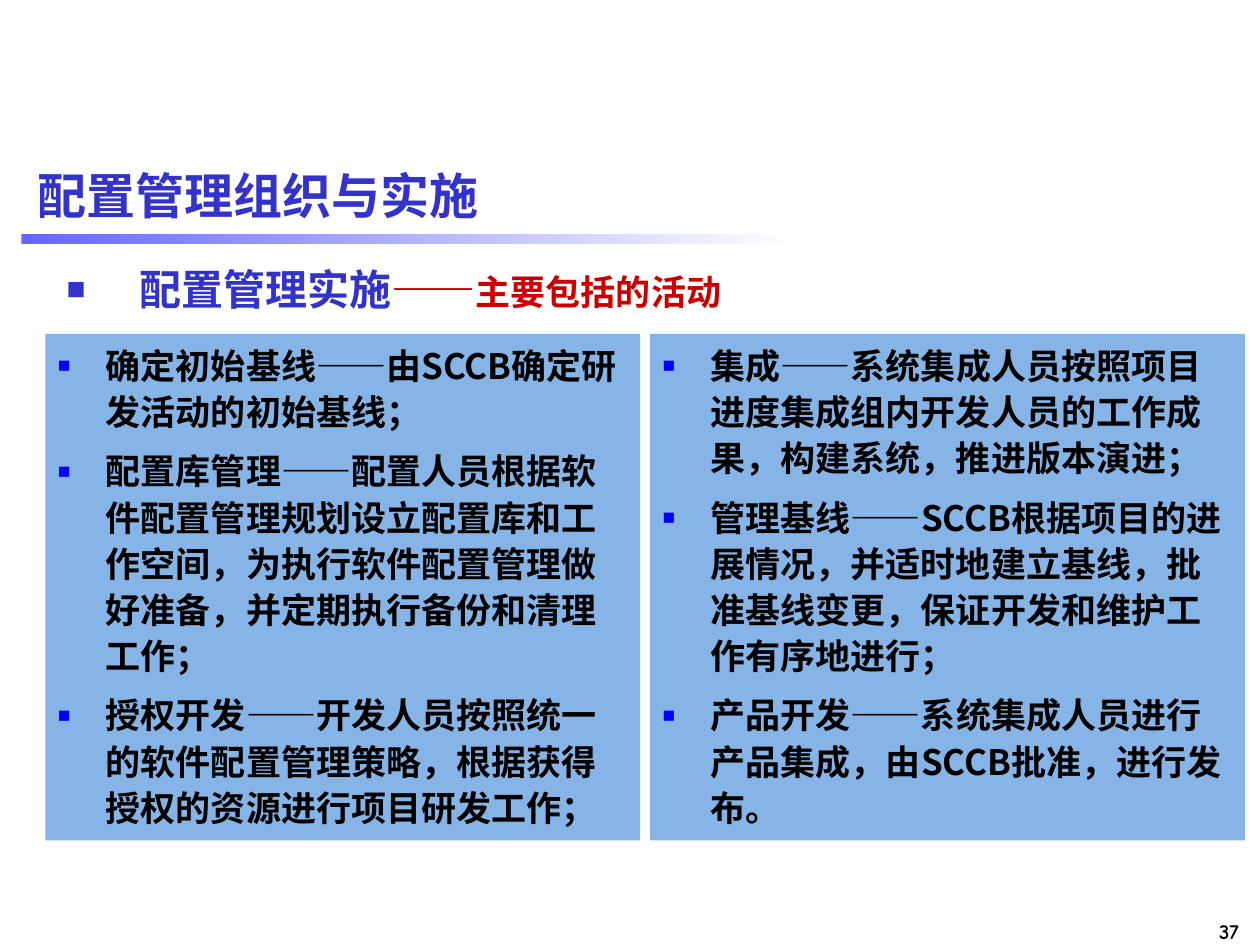
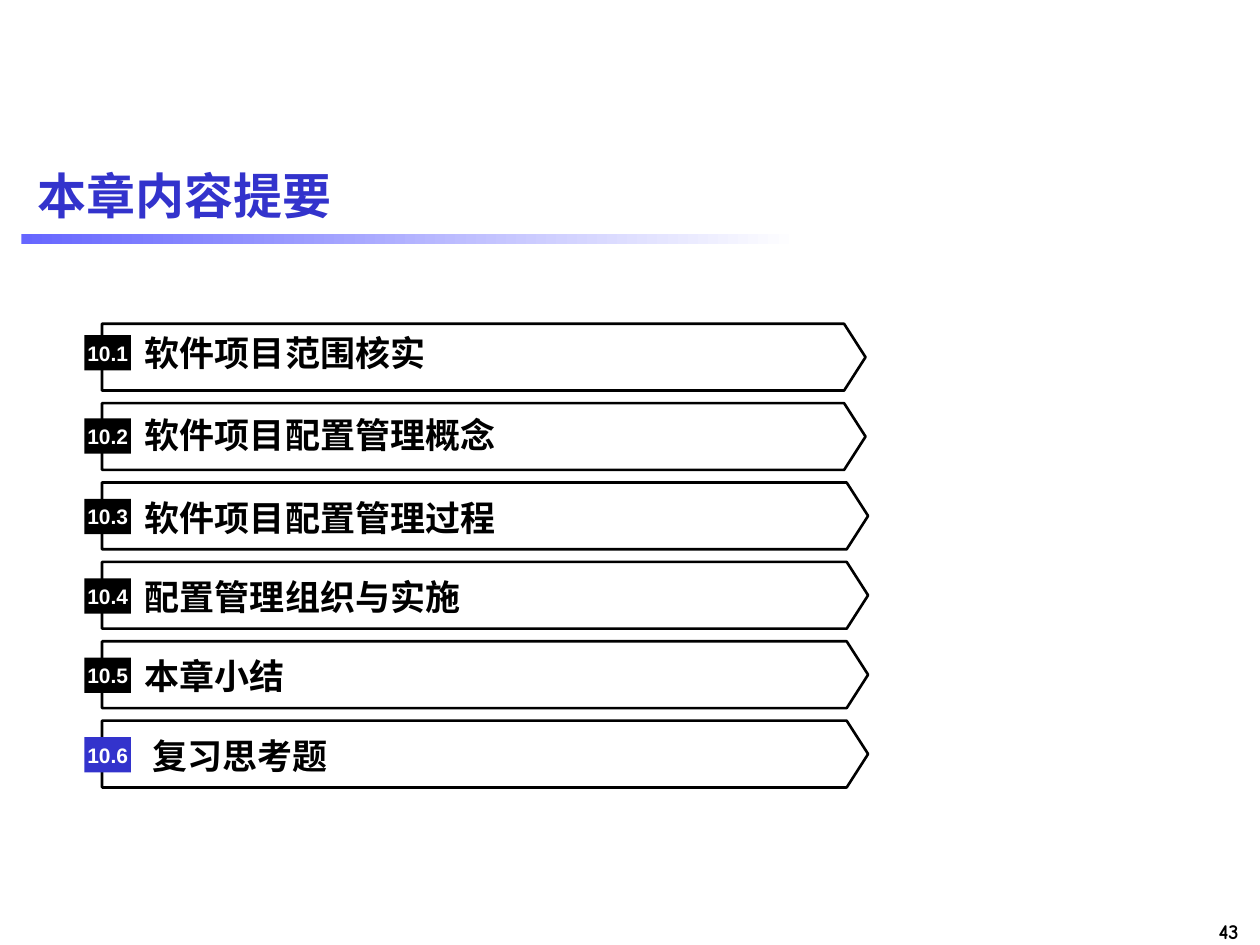
from lxml import etree
from pptx import Presentation
from pptx.dml.color import RGBColor
from pptx.enum.shapes import MSO_SHAPE
from pptx.enum.text import MSO_ANCHOR, MSO_AUTO_SIZE, PP_ALIGN
from pptx.oxml.ns import qn
from pptx.util import Inches, Pt

RECTANGLE = MSO_SHAPE.RECTANGLE
MIDDLE = MSO_ANCHOR.MIDDLE
NO_FIT = MSO_AUTO_SIZE.NONE
LEFT, CENTER, RIGHT = PP_ALIGN.LEFT, PP_ALIGN.CENTER, PP_ALIGN.RIGHT

TWO_CONTENT, TITLE_ONLY = 3, 5
BLUE, BRIGHT_BLUE, BAND_BLUE, PANEL_BLUE = "3333CC", "0000FF", "6666FF", "86B4E6"
RED, BLACK, WHITE = "CC0000", "000000", "FFFFFF"
SANS, CHINESE, COMIC = "Arial", "Noto Sans CJK SC", "Comic Neue"

ACTIVITY_TITLE, ACTIVITY_NUMBER = "配置管理组织与实施", "37"
HEADING = [
    ("配置管理实施", 24, BLUE),
    ("——", 24, RED),
    ("主要包括的活动", 20, RED),
]
ACTIVITY_COLUMNS = [
    [
        "确定初始基线——由SCCB确定研发活动的初始基线；",
        "配置库管理——配置人员根据软件配置管理规划设立配置库和工作空间，为执行软件配置管理做好准备，并定期执行备份和清理工作；",
        "授权开发——开发人员按照统一的软件配置管理策略，根据获得授权的资源进行项目研发工作；",
    ],
    [
        "集成——系统集成人员按照项目进度集成组内开发人员的工作成果，构建系统，推进版本演进；",
        "管理基线——SCCB根据项目的进展情况，并适时地建立基线，批准基线变更，保证开发和维护工作有序地进行；",
        "产品开发——系统集成人员进行产品集成，由SCCB批准，进行发布。",
    ],
]
COLUMN_LEFT, COLUMN_TOP, COLUMN_PITCH = 0.36, 2.65, 4.8
COLUMN_WIDTH, COLUMN_HEIGHT = 4.72, 4.02

OUTLINE_TITLE, OUTLINE_NUMBER = "本章内容提要", "43"
SECTIONS = [
    {"name": "软件项目范围核实", "label": 0.06, "badge": 0.09, "tip": 6.87},
    {"name": "软件项目配置管理概念", "label": 0.08, "badge": 0.12, "tip": 6.87},
    {"name": "软件项目配置管理过程", "label": 0.11},
    {"name": "配置管理组织与实施", "label": 0.11},
    {"name": "本章小结", "label": 0.11},
    {"name": "复习思考题", "label": 0.11, "indent": 0.12, "font": SANS, "color": BLUE},
]
ROW_LEFT, ROW_TOP, ROW_PITCH, ROW_HEIGHT, TIP_DEPTH = 0.81, 2.57, 0.63, 0.53, 0.17


def rgb(value):
    return RGBColor.from_string(value)


def place(shape, left, top, width, height):
    shape.left, shape.top = Inches(left), Inches(top)
    shape.width, shape.height = Inches(width), Inches(height)


def add_span(para, text, size, color, font):
    span = para.add_run()
    span.text = text
    span.font.size = Pt(size)
    span.font.bold = True
    span.font.color.rgb = rgb(color)
    span.font.name = font
    east_asian = etree.Element(qn("a:ea"), typeface=CHINESE)
    span.font._element.find(qn("a:latin")).addnext(east_asian)


def add_bullet(para, color, percent, margin, hanging):
    properties = para._p.get_or_add_pPr()
    properties.set("marL", str(Inches(margin)))
    properties.set("indent", str(-Inches(hanging)))
    bullet_color = etree.SubElement(properties, qn("a:buClr"))
    etree.SubElement(bullet_color, qn("a:srgbClr"), val=color)
    etree.SubElement(properties, qn("a:buSzPct"), val=str(percent * 1000))
    etree.SubElement(properties, qn("a:buFont"), typeface=SANS)
    etree.SubElement(properties, qn("a:buChar"), char="■")


def set_insets(frame, horizontal=0, vertical=0):
    frame.margin_left = frame.margin_right = Inches(horizontal)
    frame.margin_top = frame.margin_bottom = Inches(vertical)


def add_textbox(shapes, left, top, width, height):
    box = shapes.add_textbox(Inches(left), Inches(top), Inches(width), Inches(height))
    frame = box.text_frame
    frame.word_wrap = True
    set_insets(frame)
    return frame


def add_rectangle(shapes, left, top, width, height):
    box = shapes.add_shape(RECTANGLE, Inches(left), Inches(top), Inches(width), Inches(height))
    box.shadow.inherit = False
    box.line.fill.background()
    return box


def add_page(deck, layout, title, number):
    page = deck.slides.add_slide(deck.slide_layouts[layout])
    band = add_rectangle(page.shapes, 0.17, 1.86, 6.17, 0.08)
    band.fill.gradient()
    band.fill.gradient_angle = 0
    for stop, position, color in zip(band.fill.gradient_stops, (0, 1), (BAND_BLUE, WHITE)):
        stop.position = position
        stop.color.rgb = rgb(color)

    place(page.shapes.title, 0.2, 1.15, 9.61, 0.79)
    frame = page.shapes.title.text_frame
    frame.auto_size = NO_FIT
    frame.vertical_anchor = MIDDLE
    frame.paragraphs[0].alignment = LEFT
    add_span(frame.paragraphs[0], title, 28, BLUE, SANS)

    frame = add_textbox(page.shapes, 9.01, 7.24, 0.92, 0.3)
    set_insets(frame, 0.1, 0.05)
    frame.paragraphs[0].alignment = RIGHT
    add_span(frame.paragraphs[0], number, 12, BLACK, COMIC)
    return page


def fill_column(box, activities):
    box.fill.solid()
    box.fill.fore_color.rgb = rgb(PANEL_BLUE)
    frame = box.text_frame
    frame.auto_size = NO_FIT
    for index, activity in enumerate(activities):
        para = frame.add_paragraph() if index else frame.paragraphs[0]
        add_bullet(para, BRIGHT_BLUE, 60, 0.38, 0.38)
        para.line_spacing = 1.1
        para.space_before = Pt(7.5 if index else 0)
        add_span(para, activity, 20, BLACK, CHINESE)


def build_activities(deck):
    page = add_page(deck, TWO_CONTENT, ACTIVITY_TITLE, ACTIVITY_NUMBER)
    for index, activities in enumerate(ACTIVITY_COLUMNS):
        box = page.placeholders[index + 1]
        left = COLUMN_LEFT + index * COLUMN_PITCH
        place(box, left, COLUMN_TOP, COLUMN_WIDTH, COLUMN_HEIGHT)
        fill_column(box, activities)
    heading = add_textbox(page.shapes, 0.43, 2.09, 5.43, 0.4).paragraphs[0]
    add_bullet(heading, BLUE, 75, 0.68, 0.58)
    for text, size, color in HEADING:
        add_span(heading, text, size, color, SANS)


def add_section(page, index, section):
    shapes = page.shapes.add_group_shape().shapes
    top = ROW_TOP + index * ROW_PITCH
    bottom = top + ROW_HEIGHT
    tip = section.get("tip", 6.89)
    shoulder = tip - TIP_DEPTH
    corners = [(shoulder, top), (tip, top + ROW_HEIGHT / 2), (shoulder, bottom), (ROW_LEFT, bottom)]
    builder = shapes.build_freeform(Inches(ROW_LEFT), Inches(top))
    builder.add_line_segments([(Inches(x), Inches(y)) for x, y in corners], close=True)
    arrow = builder.convert_to_shape()
    arrow.shadow.inherit = False
    arrow.fill.background()
    arrow.line.color.rgb = rgb(BLACK)
    arrow.line.width = Pt(1.5)

    label = add_textbox(shapes, 1.09, top + section["label"], 5.4, 0.33)
    label.vertical_anchor = MIDDLE
    label.margin_left = Inches(section.get("indent", 0.06))
    add_span(label.paragraphs[0], section["name"], 20, BLACK, section.get("font", CHINESE))

    badge = add_rectangle(shapes, 0.67, top + section.get("badge", 0.13), 0.37, 0.28)
    badge.fill.solid()
    badge.fill.fore_color.rgb = rgb(section.get("color", BLACK))
    frame = badge.text_frame
    set_insets(frame)
    frame.vertical_anchor = MIDDLE
    frame.paragraphs[0].alignment = CENTER
    add_span(frame.paragraphs[0], f"10.{index + 1}", 12, WHITE, SANS)


def build_outline(deck):
    page = add_page(deck, TITLE_ONLY, OUTLINE_TITLE, OUTLINE_NUMBER)
    for index, section in enumerate(SECTIONS):
        add_section(page, index, section)


def main():
    deck = Presentation()
    deck.slide_width, deck.slide_height = Inches(10), Inches(7.5)
    build_activities(deck)
    build_outline(deck)
    deck.save("out.pptx")


if __name__ == "__main__":
    main()
